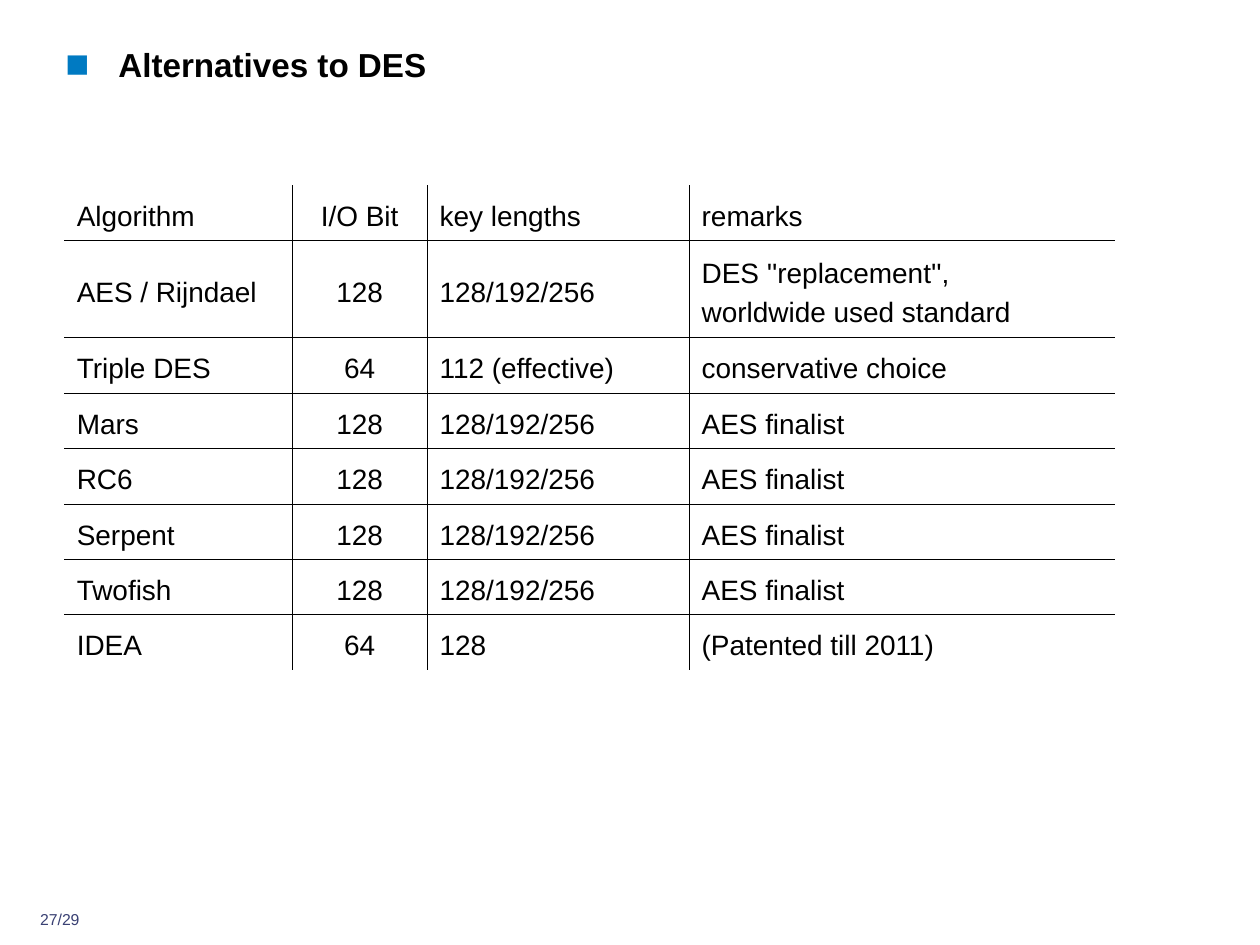
import pptx
import pptx.dml.color
import pptx.enum.text
import pptx.oxml
import pptx.oxml.ns
import pptx.util
from pptx.util import Inches

COLORS = {"ink": "000000", "bullet": "007AC2", "page_number": "394073"}
FONT = "Arial"
THIN, THICK = 0.45, 1.08

COLUMN_WIDTHS = [1.81, 1.07, 2.08, 3.38]
ROW_HEIGHT, TALL_ROW_HEIGHT = 0.44, 0.77
CENTERED_COLUMN = 1
ROWS = [
    ["Algorithm", "I/O Bit", "key lengths", "remarks"],
    ["AES / Rijndael", "128", "128/192/256", "DES ''replacement'', \nworldwide used standard"],
    ["Triple DES", "64", "112 (effective)", "conservative choice"],
    *[[name, "128", "128/192/256", "AES finalist"]
      for name in ("Mars", "RC6", "Serpent", "Twofish")],
    ["IDEA", "64", "128", "(Patented till 2011)"],
]


def set_font(para, size, color, bold=False):
    para.font.name = FONT
    para.font.size = pptx.util.Pt(size)
    para.font.bold = bold
    para.font.color.rgb = pptx.dml.color.RGBColor.from_string(COLORS[color])


def add_text(page, text, left, top, width, height):
    """Add a text box without insets and return its paragraph."""
    box = page.shapes.add_textbox(Inches(left), Inches(top), Inches(width), Inches(height))
    frame = box.text_frame
    frame.word_wrap = True
    frame.margin_left = frame.margin_right = frame.margin_top = frame.margin_bottom = 0
    para = frame.paragraphs[0]
    para.text = text
    return para


def add_square_bullet(para, indent):
    properties = para._p.get_or_add_pPr()
    properties.set("marL", str(Inches(indent)))
    properties.set("indent", str(-Inches(indent)))
    namespace = pptx.oxml.ns.nsdecls("a")
    for xml in (
        f'<a:buClr {namespace}><a:srgbClr val="{COLORS["bullet"]}"/></a:buClr>',
        f'<a:buSzPct {namespace} val="120000"/>',
        f'<a:buFont {namespace} typeface="{FONT}"/>',
        f'<a:buChar {namespace} char="■"/>',
    ):
        properties.insert_element_before(pptx.oxml.parse_xml(xml), "a:tabLst", "a:defRPr", "a:extLst")


def add_title(page):
    para = add_text(page, "Alternatives to DES", 0.52, 0.35, 7.07, 0.56)
    para.space_before = pptx.util.Pt(4.8)
    add_square_bullet(para, 0.42)
    set_font(para, 19, "ink", bold=True)


def add_page_number(page):
    para = add_text(page, "27/29", 0.2, 7.22, 0.55, 0.24)
    para.alignment = pptx.enum.text.PP_ALIGN.CENTER
    set_font(para, 9, "page_number")


def set_borders(cell, row, column):
    """Rule the inner edges, with a thicker line under the header; leave outer edges open."""
    last_row, last_column = len(ROWS) - 1, len(COLUMN_WIDTHS) - 1
    widths = {
        "lnL": THIN if column > 0 else 0,
        "lnR": THIN if column < last_column else 0,
        "lnT": (THICK if row == 1 else THIN) if row > 0 else 0,
        "lnB": (THICK if row == 0 else THIN) if row < last_row else 0,
    }
    properties = cell._tc.get_or_add_tcPr()
    for edge, width in widths.items():
        paint = (f'<a:solidFill><a:srgbClr val="{COLORS["ink"]}"/></a:solidFill>'
                 if width else "<a:noFill/>")
        properties.append(pptx.oxml.parse_xml(
            f'<a:{edge} {pptx.oxml.ns.nsdecls("a")} w="{pptx.util.Pt(width)}">{paint}</a:{edge}>'))


def fill_cell(cell, text, row, column):
    set_borders(cell, row, column)
    cell.fill.background()
    cell.vertical_anchor = pptx.enum.text.MSO_ANCHOR.MIDDLE
    cell.margin_left = cell.margin_right = Inches(0.1)
    cell.margin_top = cell.margin_bottom = Inches(0.05)
    para = cell.text_frame.paragraphs[0]
    para.text = text
    para.line_spacing = 1.25
    para.space_before = pptx.util.Pt(5)
    if column == CENTERED_COLUMN:
        para.alignment = pptx.enum.text.PP_ALIGN.CENTER
    set_font(para, 16, "ink")


def add_algorithm_table(page):
    heights = [TALL_ROW_HEIGHT if "\n" in row[-1] else ROW_HEIGHT for row in ROWS]
    table = page.shapes.add_table(
        len(ROWS), len(COLUMN_WIDTHS), Inches(0.51), Inches(1.47),
        Inches(sum(COLUMN_WIDTHS)), Inches(sum(heights))).table
    table.first_row = table.horz_banding = False
    for column, width in zip(table.columns, COLUMN_WIDTHS):
        column.width = Inches(width)
    for row, height in zip(table.rows, heights):
        row.height = Inches(height)
    for row, texts in enumerate(ROWS):
        for column, text in enumerate(texts):
            fill_cell(table.cell(row, column), text, row, column)


def main():
    deck = pptx.Presentation()
    deck.slide_width, deck.slide_height = Inches(10), Inches(7.5)
    page = deck.slides.add_slide(deck.slide_layouts[6])
    add_title(page)
    add_algorithm_table(page)
    add_page_number(page)
    deck.save("out.pptx")


if __name__ == "__main__":
    main()
